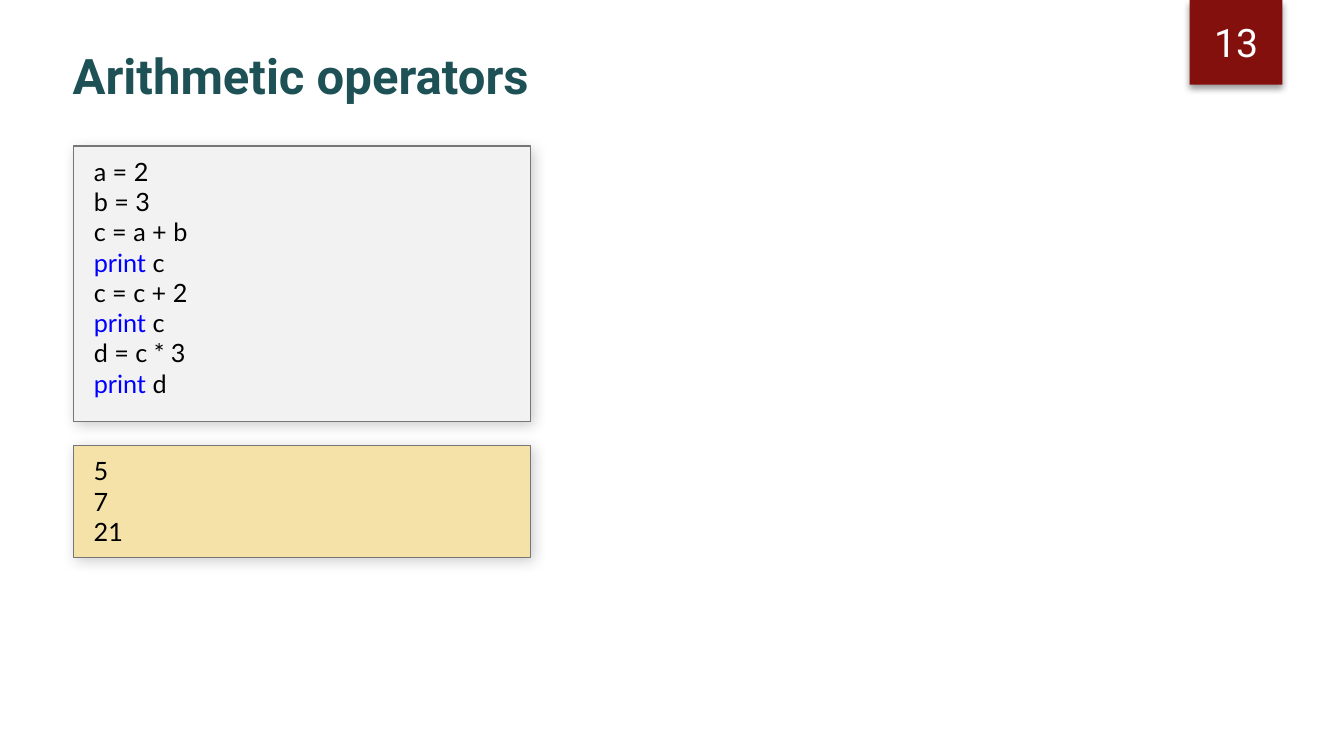
"""Build the slide on arithmetic operators with its code and output panels."""
import pptx
import pptx.util
import pptx.dml.color
import pptx.enum.shapes
import pptx.enum.text
import pptx.oxml
import pptx.oxml.ns

Inches = pptx.util.Inches
Pt = pptx.util.Pt
RGBColor = pptx.dml.color.RGBColor
Anchor = pptx.enum.text.MSO_ANCHOR
Align = pptx.enum.text.PP_ALIGN

TEAL = RGBColor(0x1E, 0x51, 0x55)
MAROON = RGBColor(0x84, 0x10, 0x0E)
WHITE = RGBColor(0xFF, 0xFF, 0xFF)
BLACK = RGBColor(0, 0, 0)
BLUE = RGBColor(0, 0, 0xFF)
GREY = RGBColor(0x76, 0x76, 0x76)
PALE_GREY = RGBColor(0xF2, 0xF2, 0xF2)
SAND = RGBColor(0xF5, 0xE2, 0xA9)


def shadow_effect(alpha, blur, distance, angle):
    return pptx.oxml.parse_xml(
        f'<a:effectLst {pptx.oxml.ns.nsdecls("a")}>'
        f'<a:outerShdw blurRad="{Pt(blur)}" dist="{Pt(distance)}" dir="{angle * 60000}" '
        f'algn="tl" rotWithShape="0"><a:srgbClr val="000000">'
        f'<a:alpha val="{alpha * 1000}"/></a:srgbClr></a:outerShdw></a:effectLst>')


def add_run(paragraph, text, font, size, color, bold=False):
    run = paragraph.add_run()
    run.text = text
    for key, value in dict(name=font, size=Pt(size), bold=bold).items():
        setattr(run.font, key, value)
    run.font.color.rgb = color
    return run


deck = pptx.Presentation()
deck.slide_width = Inches(13.33)
deck.slide_height = Inches(7.5)
slide = deck.slides.add_slide(deck.slide_layouts[1])
rectangle = pptx.enum.shapes.MSO_SHAPE.RECTANGLE

heading = slide.shapes.title
page_number = slide.shapes.add_shape(rectangle, 0, 0, 0, 0)
code = slide.placeholders[1]
output = slide.shapes.add_shape(rectangle, 0, 0, 0, 0)

places = [
    (heading, 0.62, 0.39, 10.92, 0.64),
    (page_number, 11.8, 0, 0.92, 0.84),
    (code, 0.73, 1.45, 4.53, 2.73),
    (output, 0.73, 4.42, 4.53, 1.11),
]
for part, *place in places:
    for key, value in zip(("left", "top", "width", "height"), place):
        setattr(part, key, Inches(value))

heading_format = dict(vertical_anchor=Anchor.BOTTOM, margin_bottom=0,
                      auto_size=pptx.enum.text.MSO_AUTO_SIZE.NONE)
for key, value in heading_format.items():
    setattr(heading.text_frame, key, value)
heading_line = heading.text_frame.paragraphs[0]
heading_line.alignment = Align.LEFT
heading_run = add_run(heading_line, "Arithmetic operators", "Roboto", 35, TEAL, True)
heading_run.font.fill._xPr.find(pptx.oxml.ns.qn("a:solidFill")).addnext(
    shadow_effect(40, 3, 3, 45))

page_number.fill.solid()
page_number.fill.fore_color.rgb = MAROON
page_number.line.fill.background()
page_number._element.spPr.append(shadow_effect(40, 5, 3, 90))
page_number.text_frame.vertical_anchor = Anchor.MIDDLE
number_line = page_number.text_frame.paragraphs[0]
number_line.alignment = Align.CENTER
add_run(number_line, "13", "Roboto", 28, WHITE)

code_lines = ["a = 2", "b = 3", "c = a + b", "print c",
              "c = c + 2", "print c", "d = c * 3", "print d"]
panel_format = dict(
    margin_left=Inches(0.2), margin_right=Inches(0.2),
    margin_top=Inches(0.1), margin_bottom=Inches(0.1),
    vertical_anchor=Anchor.TOP, word_wrap=True,
    auto_size=pptx.enum.text.MSO_AUTO_SIZE.NONE)
line_format = dict(alignment=Align.LEFT, space_before=Pt(0), space_after=Pt(0))
keyword = "print "

for panel, color, lines in [(code, PALE_GREY, code_lines),
                            (output, SAND, ["5", "7", "21"])]:
    panel.fill.solid()
    panel.fill.fore_color.rgb = color
    panel.line.color.rgb = GREY
    panel.line.width = Pt(1)
    panel._element.spPr.append(shadow_effect(20, 10, 3, 45))
    frame = panel.text_frame
    for key, value in panel_format.items():
        setattr(frame, key, value)
    for index, text in enumerate(lines):
        paragraph = frame.add_paragraph() if index else frame.paragraphs[0]
        for key, value in line_format.items():
            setattr(paragraph, key, value)
        properties = paragraph._p.get_or_add_pPr()
        properties.set("marL", "0")
        properties.set("indent", "0")
        properties.append(pptx.oxml.parse_xml(
            f'<a:buNone {pptx.oxml.ns.nsdecls("a")}/>'))
        if text.startswith(keyword):
            add_run(paragraph, keyword, "Lato", 18, BLUE)
        add_run(paragraph, text.removeprefix(keyword), "Lato", 18, BLACK)

deck.save("out.pptx")
